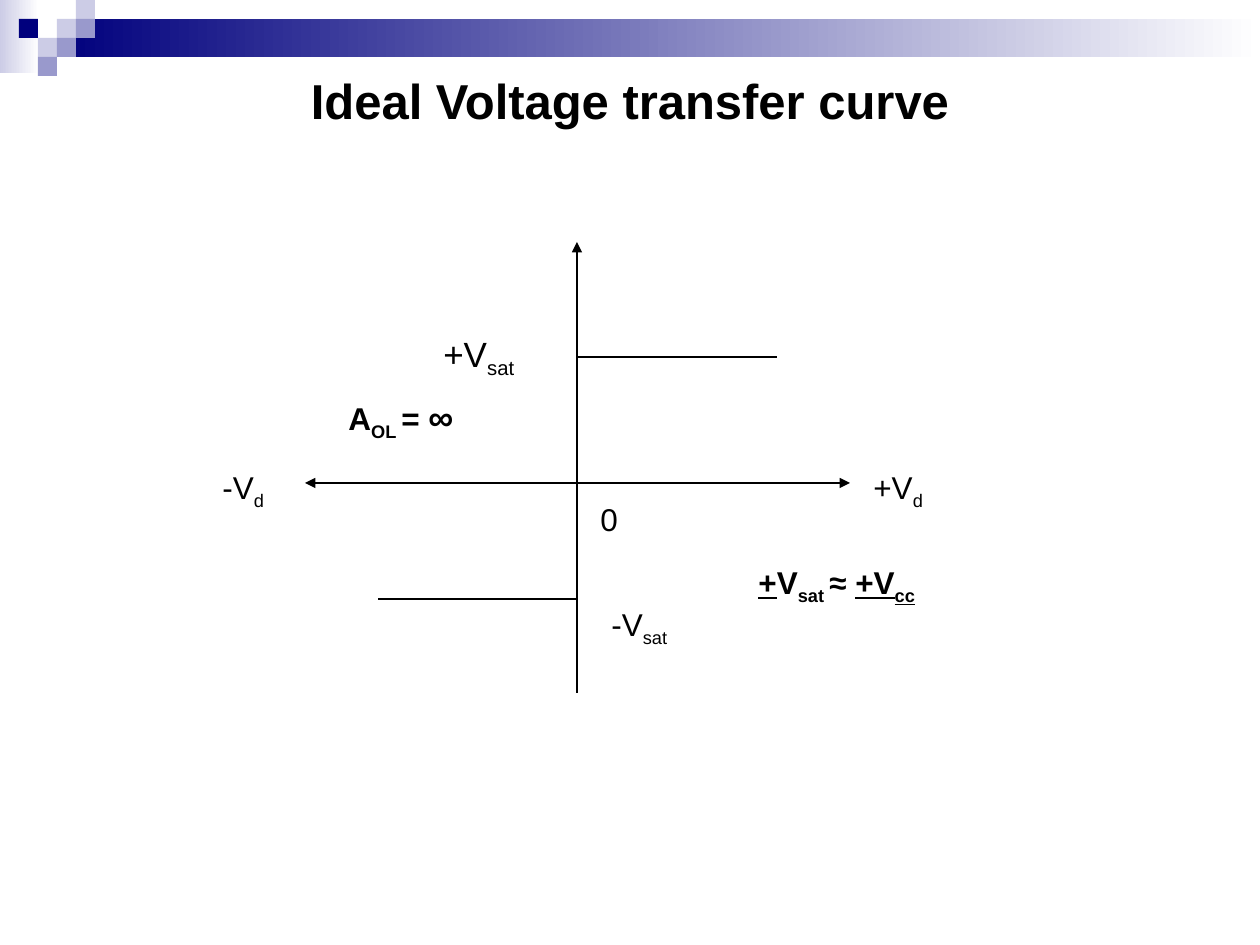
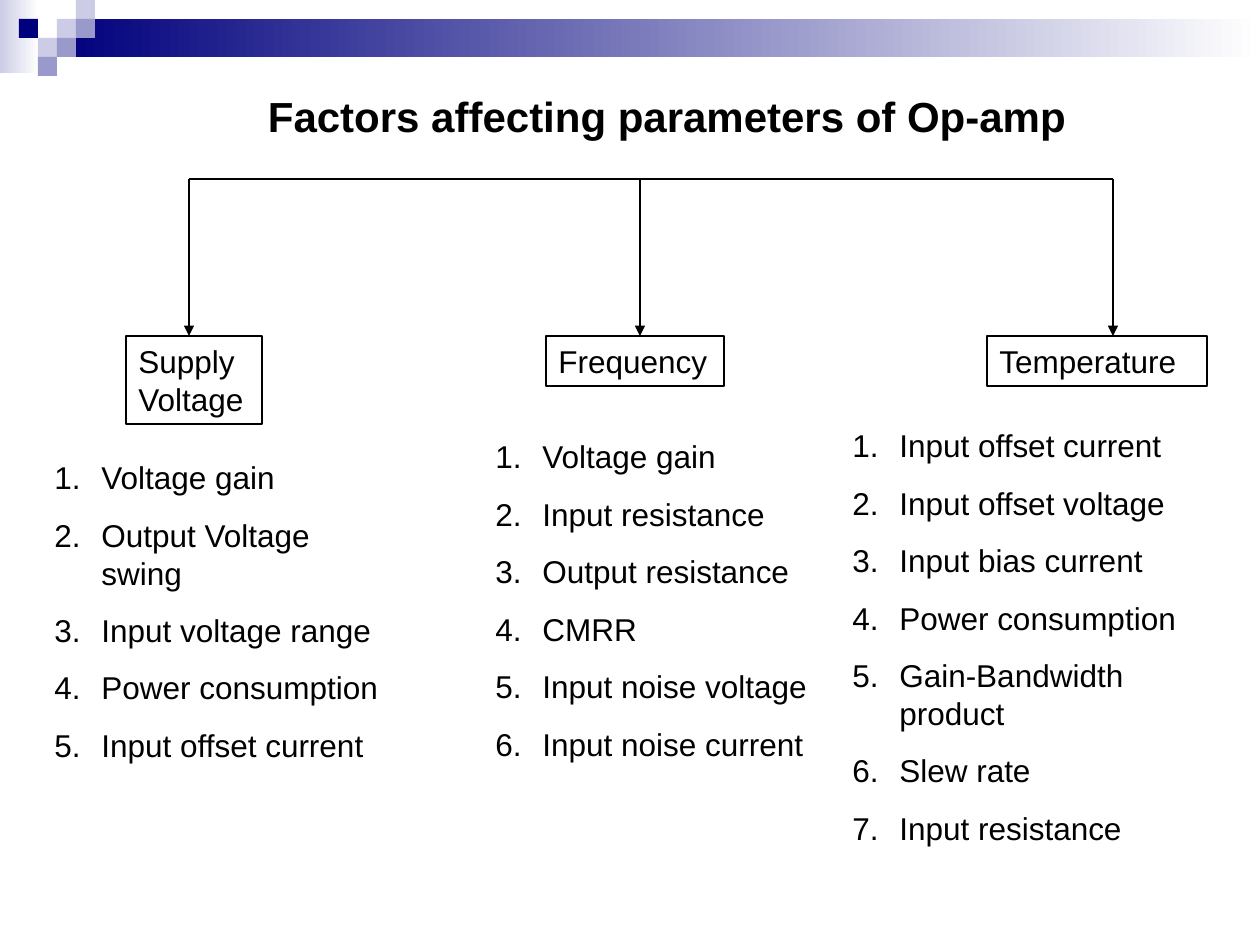
from lxml import etree
from pptx import Presentation
from pptx import util as u
from pptx.dml.color import RGBColor
from pptx.enum import shapes, text
from pptx.oxml.ns import qn

PX = 914400 / 126  # EMU in one px
FONT = "Arial"
COLORS = {"ink": "000000", "paper": "FFFFFF", "navy": "00007D",
          "violet": "9999CC", "lilac": "CCCCE6"}
BOLD = {"bold": True}
UNDERLINED = {"underline": True}
SUB = {"baseline": -25000}

# Header pattern: one entry per square as (column, row, colour)
CELL = 19
SQUARES = [(3, 1, "lilac"), (4, 0, "lilac"), (4, 1, "violet"), (2, 2, "lilac"),
           (1, 1, "navy"), (3, 2, "violet"), (2, 3, "violet")]


def px(length):
    return u.Emu(round(length * PX))


def rgb(name):
    return RGBColor.from_string(COLORS[name])


class Deck:
    """Holds the style and the slide being drawn."""

    def __init__(self):
        self.presentation = Presentation()
        self.presentation.slide_width = px(1260)
        self.presentation.slide_height = px(945)
        self.slide = None

    def new_slide(self):
        self.slide = self.presentation.slides.add_slide(self.presentation.slide_layouts[6])
        self.header()

    def header(self):
        self.rectangle(0, 0, 39, 73, gradient=("lilac", "paper"))
        self.rectangle(3 * CELL, CELL, 1260 - 3 * CELL, 2 * CELL, gradient=("navy", "paper"))
        for column, row, color in SQUARES:
            self.rectangle(column * CELL, row * CELL, CELL, CELL, fill=color)

    def rectangle(self, left, top, width, height, fill=None, gradient=None, line=None):
        shape = self.slide.shapes.add_shape(shapes.MSO_SHAPE.RECTANGLE,
                                            px(left), px(top), px(width), px(height))
        shape.shadow.inherit = False
        if gradient:
            shape.fill.gradient()
            shape.fill.gradient_angle = 0
            for position, (stop, color) in enumerate(zip(shape.fill.gradient_stops, gradient)):
                stop.position = position
                stop.color.rgb = rgb(color)
        elif fill:
            shape.fill.solid()
            shape.fill.fore_color.rgb = rgb(fill)
        else:
            shape.fill.background()
        if line:
            shape.line.color.rgb = rgb(line)
            shape.line.width = u.Pt(0.75)
        else:
            shape.line.fill.background()
        return shape

    def line(self, x1, y1, x2, y2, arrow=False):
        connector = self.slide.shapes.add_connector(shapes.MSO_CONNECTOR.STRAIGHT,
                                                    px(x1), px(y1), px(x2), px(y2))
        connector.line.color.rgb = rgb("ink")
        connector.line.width = u.Pt(0.75)
        properties = connector._element.spPr
        if arrow:
            etree.SubElement(properties.find(qn("a:ln")), qn("a:tailEnd"), type="triangle")
        etree.SubElement(properties, qn("a:effectLst"))

    def fill_text(self, shape, paragraphs, size=18, align="LEFT", anchor="TOP", grow=True, **base):
        """Fill a shape; each paragraph is a list of (text, format) runs."""
        frame = shape.text_frame
        settings = {"word_wrap": True, "vertical_anchor": text.MSO_ANCHOR[anchor],
                    "auto_size": text.MSO_AUTO_SIZE["SHAPE_TO_FIT_TEXT" if grow else "NONE"]}
        for name, value in settings.items():
            setattr(frame, name, value)
        for index, runs in enumerate(paragraphs):
            paragraph = frame.add_paragraph() if index else frame.paragraphs[0]
            paragraph.alignment = text.PP_ALIGN[align]
            paragraph.space_before = u.Pt(0.625 * size)
            for content, style in runs:
                self.add_text(paragraph, content, {"size": u.Pt(size), **base, **style})
        return frame

    def add_text(self, paragraph, content, style):
        run = paragraph.add_run()
        run.text = content
        run.font.color.rgb = rgb("ink")
        for name, value in {"name": FONT, **style}.items():
            if name == "baseline":
                run._r.get_or_add_rPr().set(name, str(value))
            else:
                setattr(run.font, name, value)

    def label(self, left, top, width, height, *runs, **options):
        box = self.slide.shapes.add_textbox(px(left), px(top), px(width), px(height))
        self.fill_text(box, [runs], **options)

    def title(self, left, top, width, height, content, **options):
        self.label(left, top, width, height, (content, BOLD), align="CENTER", **options)

    def framed(self, left, top, width, height, content):
        self.fill_text(self.rectangle(left, top, width, height, line="ink"), [[(content, {})]])

    def numbered(self, left, top, width, height, items):
        box = self.slide.shapes.add_textbox(px(left), px(top), px(width), px(height))
        frame = self.fill_text(box, [[(item, {})] for item in items])
        for paragraph in frame.paragraphs:
            properties = paragraph._p.get_or_add_pPr()
            properties.set("marL", str(px(47)))
            properties.set("indent", str(px(-47)))
            etree.SubElement(properties, qn("a:buFont"), typeface=FONT)
            etree.SubElement(properties, qn("a:buAutoNum"), type="arabicPeriod")


def transfer_curve(deck):
    deck.new_slide()
    deck.title(63, 63, 1134, 73, "Ideal Voltage transfer curve",
               size=28, anchor="MIDDLE", grow=False)

    # Axes with arrow ends, then the two saturation levels
    origin_x, origin_y = 577, 483
    deck.line(origin_x, 284, origin_x, 693)
    deck.line(388, origin_y, 809, origin_y)
    deck.line(origin_x, 284, origin_x, 242, arrow=True)
    deck.line(809, origin_y, 850, origin_y, arrow=True)
    deck.line(388, origin_y, 305, origin_y, arrow=True)
    deck.line(origin_x, 357, 777, 357)
    deck.line(378, 599, origin_x, 599)

    # Labels
    deck.label(431, 326, 126, 60, ("+V", {}), ("sat", SUB), size=20)
    deck.label(599, 599, 126, 55, ("-V", {}), ("sat", SUB))
    deck.label(588, 494, 53, 50, ("0", {}))
    deck.label(861, 462, 126, 55, ("+V", {}), ("d", SUB))
    deck.label(210, 462, 126, 55, ("-V", {}), ("d", SUB))
    deck.label(336, 389, 147, 59, ("A", {}), ("OL ", SUB), ("= ", {}),
               ("∞", {"size": u.Pt(20)}), **BOLD)
    deck.label(746, 557, 220, 55, ("+", UNDERLINED), ("V", {}), ("sat ", SUB), ("≈ ", {}),
               ("+V", UNDERLINED), ("cc", {**UNDERLINED, **SUB}), **BOLD)


def factors(deck):
    deck.new_slide()
    deck.title(105, 84, 1124, 63, "Factors affecting parameters of Op-amp", size=24)

    # Each branch: arrow x, heading, heading frame (left, width, height), list frame, items
    branches = [
        (189, "Supply Voltage", (126, 136, 88), (42, 452, 368, 319),
         ["Voltage gain", "Output Voltage swing", "Input voltage range",
          "Power consumption", "Input offset current"]),
        (640, "Frequency", (546, 178, 50), (483, 431, 368, 338),
         ["Voltage gain", "Input resistance", "Output resistance", "CMRR",
          "Input noise voltage", "Input noise current"]),
        (1113, "Temperature", (987, 220, 50), (840, 420, 388, 433),
         ["Input offset current", "Input offset voltage", "Input bias current",
          "Power consumption", "Gain-Bandwidth product", "Slew rate", "Input resistance"]),
    ]
    bar_y, heading_y = 179, 336
    deck.line(branches[0][0], bar_y, branches[-1][0], bar_y)
    for arrow_x, heading, (left, width, height), list_frame, items in branches:
        deck.line(arrow_x, bar_y, arrow_x, heading_y, arrow=True)
        deck.framed(left, heading_y, width, height, heading)
        deck.numbered(*list_frame, items)


def main():
    deck = Deck()
    transfer_curve(deck)
    factors(deck)
    deck.presentation.save("out.pptx")


if __name__ == "__main__":
    main()
